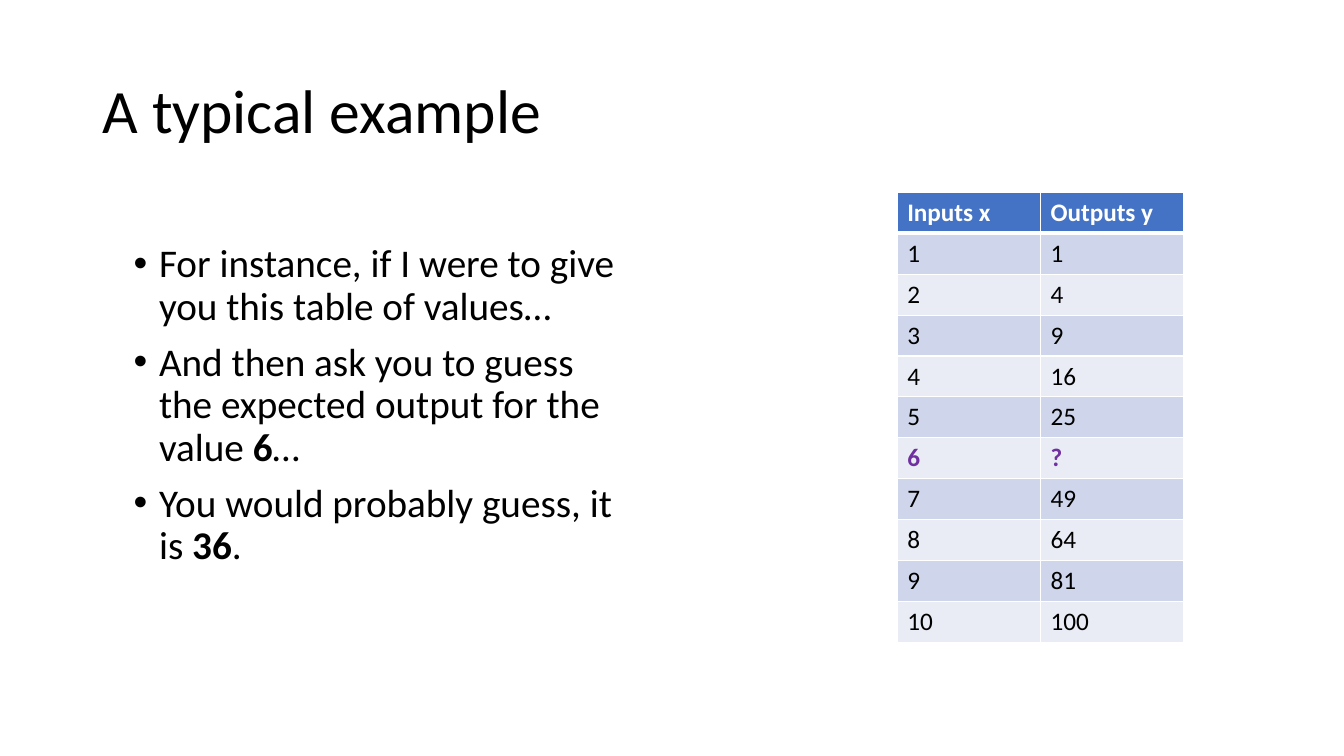
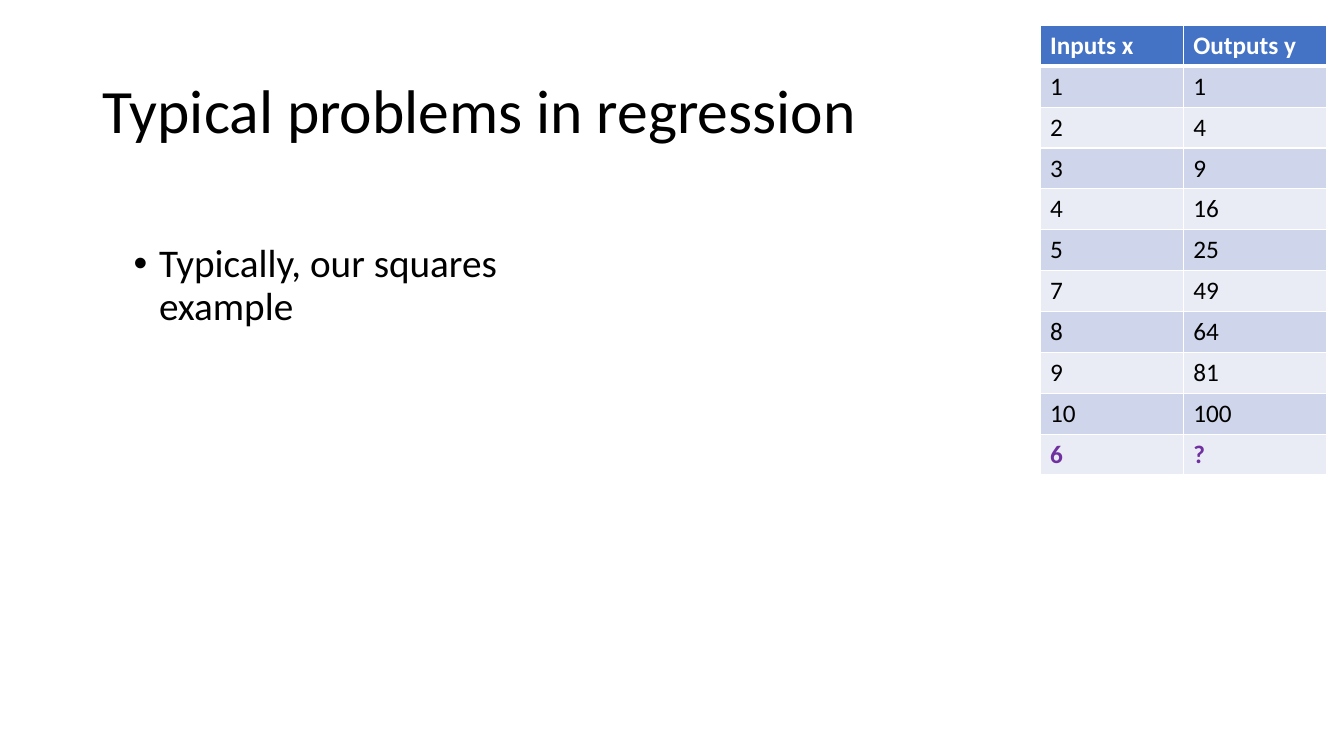
from dataclasses import dataclass

from lxml import etree
from pptx import Presentation
from pptx.dml.color import RGBColor
from pptx.enum.text import MSO_ANCHOR, MSO_AUTO_SIZE, PP_ALIGN
from pptx.oxml.ns import qn
from pptx.util import Cm, Pt

LEFT = PP_ALIGN.LEFT
MIDDLE = MSO_ANCHOR.MIDDLE
NO_FIT = MSO_AUTO_SIZE.NONE
TITLE_ONLY = 5


@dataclass(frozen=True)
class Theme:
    face: str = "Calibri"
    ink: str = "000000"
    white: str = "FFFFFF"
    head: str = "4472C4"
    odd: str = "CFD5EA"
    even: str = "E9EBF5"
    guess: str = "7030A0"
    title: int = 44
    body: int = 28
    cell: int = 18
    thin: int = 1
    thick: int = 3


theme = Theme()

SLIDES = [
    {
        "title": "A typical example",
        "points": [
            "For instance, if I were to give you this table of values…",
            "And then ask you to guess the expected output for the value *6*…",
            "You would probably guess, it is *36*.",
        ],
        "depth": 11.81,
        "spot": (22.61, 4.85),
        "inputs": [1, 2, 3, 4, 5, 6, 7, 8, 9, 10],
    },
    {
        "title": "Typical problems in regression",
        "points": ["Typically, our squares example"],
        "depth": 11.56,
        "spot": (26.21, 0.64),
        "inputs": [1, 2, 3, 4, 5, 7, 8, 9, 10, 6],
    },
]
UNKNOWN = 6
COL, ROW = 3.61, 1.03
INDENT = Cm(0.64)


def style(para, size, color=theme.ink, bold=None):
    para.alignment = LEFT
    para.font.name = theme.face
    para.font.size = Pt(size)
    para.font.bold = bold
    para.font.color.rgb = RGBColor.from_string(color)


def border(cell, side, width):
    props = cell._tc.get_or_add_tcPr()
    line = etree.SubElement(props, qn(f"a:ln{side}"), w=str(Pt(width)))
    fill = etree.SubElement(line, qn("a:solidFill"))
    etree.SubElement(fill, qn("a:srgbClr"), val=theme.white)


deck = Presentation()
deck.slide_width, deck.slide_height = Cm(33.87), Cm(19.05)

for page in SLIDES:
    slide = deck.slides.add_slide(deck.slide_layouts[TITLE_ONLY])

    title = slide.shapes.title
    title.left, title.top = Cm(2.33), Cm(1.01)
    title.width, title.height = Cm(29.21), Cm(3.68)
    frame = title.text_frame
    frame.text = page["title"]
    frame.auto_size = NO_FIT
    frame.vertical_anchor = MIDDLE
    para = frame.paragraphs[0]
    style(para, theme.title)
    para.line_spacing = 0.9

    box = slide.shapes.add_textbox(Cm(3.12), Cm(6.02), Cm(12.9), Cm(page["depth"]))
    frame = box.text_frame
    frame.word_wrap = True
    for i, point in enumerate(page["points"]):
        para = frame.add_paragraph() if i else frame.paragraphs[0]
        style(para, theme.body)
        para.line_spacing = 0.9
        para.space_before = Pt(10)
        props = para._p.get_or_add_pPr()
        props.set("marL", str(INDENT))
        props.set("indent", str(-INDENT))
        font = etree.Element(qn("a:buFont"), typeface="Arial")
        mark = etree.Element(qn("a:buChar"), char="•")
        props.find(qn("a:defRPr")).addprevious(font)
        font.addnext(mark)
        for j, part in enumerate(point.split("*")):
            run = para.add_run()
            run.text = part
            if j % 2:
                run.font.bold = True

    rows = [("Inputs x", "Outputs y")]
    rows += [(x, "?" if x == UNKNOWN else x * x) for x in page["inputs"]]
    left, top = page["spot"]
    table = slide.shapes.add_table(
        len(rows), 2, Cm(left), Cm(top), Cm(2 * COL), Cm(ROW * len(rows))
    ).table
    for col in table.columns:
        col.width = Cm(COL)
    for r, values in enumerate(rows):
        table.rows[r].height = Cm(ROW)
        if r == 0:
            fill, ink, bold = theme.head, theme.white, True
        else:
            fill = theme.odd if r % 2 else theme.even
            bold = values[0] == UNKNOWN
            ink = theme.guess if bold else theme.ink
        for c, value in enumerate(values):
            cell = table.cell(r, c)
            cell.text = str(value)
            style(cell.text_frame.paragraphs[0], theme.cell, ink, bold)
            for side in "LRTB":
                wide = (r, side) in ((0, "B"), (1, "T"))
                border(cell, side, theme.thick if wide else theme.thin)
            cell.fill.solid()
            cell.fill.fore_color.rgb = RGBColor.from_string(fill)

deck.save("out.pptx")
